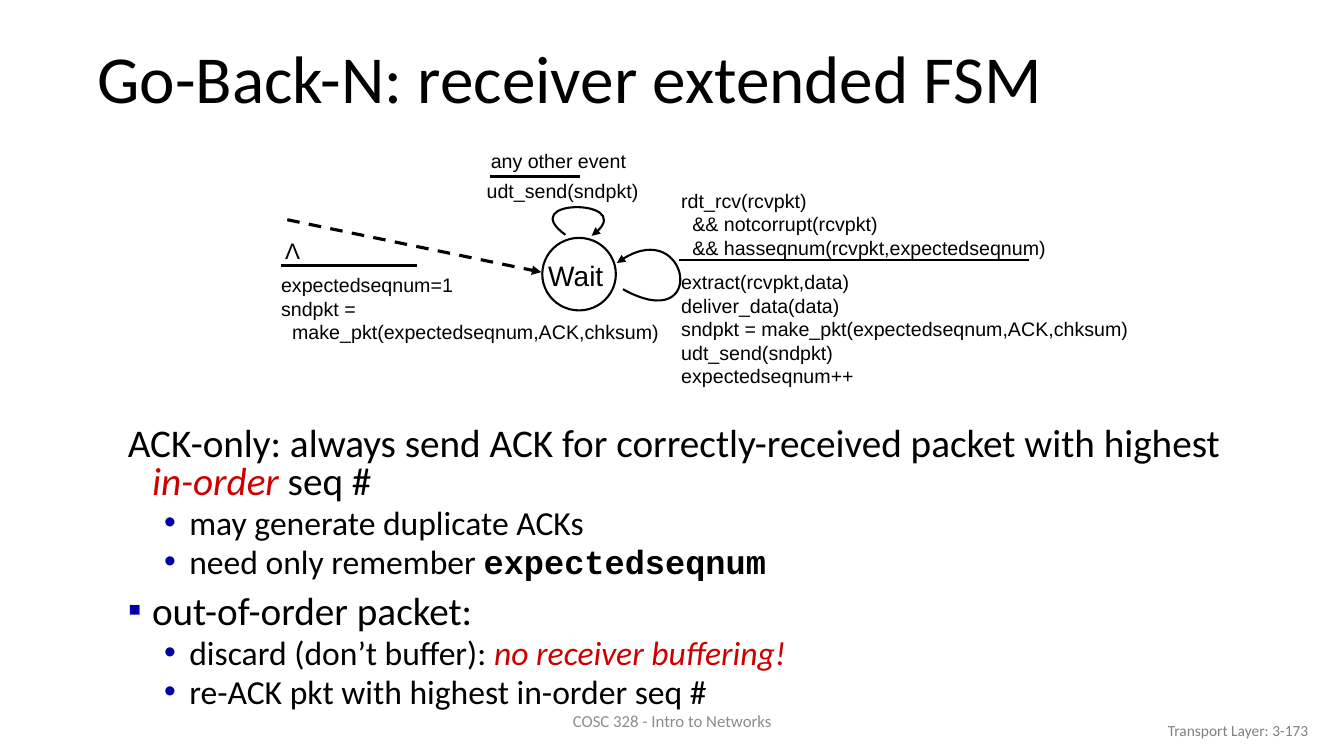
from dataclasses import dataclass

from lxml import etree
from pptx import Presentation
from pptx.dml.color import RGBColor
from pptx.enum.dml import MSO_LINE
from pptx.enum.shapes import MSO_CONNECTOR, MSO_SHAPE
from pptx.enum.text import MSO_ANCHOR, PP_ALIGN
from pptx.oxml.ns import qn
from pptx.util import Inches, Pt

STRAIGHT = MSO_CONNECTOR.STRAIGHT
CIRCLE = MSO_SHAPE.OVAL
DASH = MSO_LINE.DASH
TOP, MIDDLE = MSO_ANCHOR.TOP, MSO_ANCHOR.MIDDLE
LEFT, CENTER, RIGHT = PP_ALIGN.LEFT, PP_ALIGN.CENTER, PP_ALIGN.RIGHT

COLUMN = ROW = Inches(0.1)
COLUMNS, ROWS = 133.33, 75


@dataclass(frozen=True)
class Theme:
    body_font: str = "Calibri"
    diagram_font: str = "Arial"
    code_font: str = "Courier New"
    ink: str = "000000"
    paper: str = "FFFFFF"
    accent: str = "CC0000"
    bullet: str = "0000A8"
    number_grey: str = "808080"
    footer_grey: str = "8C8C8C"
    title_size: int = 48
    point_size: int = 28
    detail_size: int = 24
    state_size: int = 20
    lambda_size: int = 16
    label_size: int = 14
    footer_size: int = 12
    number_size: int = 11
    thin: float = 1.5
    thick: float = 2.25


THEME = Theme()


def color(value):
    return RGBColor.from_string(value)


def grid(*cells):
    return [round(cell * COLUMN) for cell in cells]


def style_font(font, name, size, value=THEME.ink):
    font.name, font.size = name, Pt(size)
    font.color.rgb = color(value)


def add_frame(shapes, place, anchor=TOP, wrap=True):
    frame = shapes.add_textbox(*grid(*place)).text_frame
    frame.word_wrap = wrap
    frame.vertical_anchor = anchor
    return frame


def add_line_of_text(shapes, place, text, font, size, value=THEME.ink,
                     align=LEFT, anchor=TOP, wrap=True):
    frame = add_frame(shapes, place, anchor, wrap)
    para = frame.paragraphs[0]
    para.text, para.alignment = text, align
    style_font(para.font, font, size, value)
    return para


def add_label(shapes, place, *lines):
    frame = add_frame(shapes, place)
    for index, (text, indented) in enumerate(lines):
        para = frame.paragraphs[0] if index == 0 else frame.add_paragraph()
        para.text = text
        if indented:
            para._p.get_or_add_pPr().set("marL", str(Inches(0.11)))
        style_font(para.font, THEME.diagram_font, THEME.label_size)


def style_line(shape, width, arrow=False, dashed=False):
    shape.line.color.rgb = color(THEME.ink)
    shape.line.width = Pt(width)
    if dashed:
        shape.line.dash_style = DASH
    if arrow:
        outline = shape.line._get_or_add_ln()
        etree.SubElement(outline, qn("a:tailEnd"), type="triangle")


def add_rule(shapes, start, end, width, **style):
    rule = shapes.add_connector(STRAIGHT, *grid(*start, *end))
    style_line(rule, width, **style)
    etree.SubElement(rule._element.spPr, qn("a:effectLst"))


def add_loop(shapes, start, *controls):
    builder = shapes.build_freeform(*grid(*start))
    builder.add_line_segments([grid(*point) for point in controls], close=False)
    loop = builder.convert_to_shape()
    outline = loop._element.xpath(".//a:path")[0]
    curve = etree.SubElement(outline, qn("a:cubicBezTo"))
    for segment in outline.findall(qn("a:lnTo")):
        curve.append(segment[0])
        outline.remove(segment)
    loop.fill.background()
    loop.shadow.inherit = False
    style_line(loop, THEME.thin, arrow=True)


def add_state(shapes, place):
    state = shapes.add_shape(CIRCLE, *grid(*place))
    state.shadow.inherit = False
    state.fill.solid()
    state.fill.fore_color.rgb = color(THEME.paper)
    style_line(state, THEME.thin)


def add_bullet(properties, mark):
    tint = etree.SubElement(properties, qn("a:buClr"))
    etree.SubElement(tint, qn("a:srgbClr"), val=THEME.bullet)
    etree.SubElement(properties, qn("a:buFont"), typeface=THEME.diagram_font)
    etree.SubElement(properties, qn("a:buChar"), char=mark)


def add_point(para, level, mark, spans, first):
    para.level = level
    properties = para._p.get_or_add_pPr()
    margin, hanging = ((0.39, -0.24), (0.76, -0.25))[level]
    properties.set("marL", str(Inches(margin)))
    properties.set("indent", str(Inches(hanging)))
    if mark:
        add_bullet(properties, mark)
    para.line_spacing = 0.8
    para.space_before = Pt(0 if first else (10, 5)[level])
    style_font(para.font, THEME.body_font,
               (THEME.point_size, THEME.detail_size)[level])
    for text, kind in spans:
        span = para.add_run()
        span.text = text
        if kind == "accent":
            span.font.italic = True
            span.font.color.rgb = color(THEME.accent)
        elif kind == "code":
            span.font.bold = True
            span.font.name = THEME.code_font


def add_points(shapes, place, points):
    frame = add_frame(shapes, place)
    for index, (level, mark, spans) in enumerate(points):
        para = frame.paragraphs[0] if index == 0 else frame.add_paragraph()
        add_point(para, level, mark, spans, index == 0)


def add_start(shapes):
    add_rule(shapes, (28.5, 21.8), (53.7, 27), THEME.thick, arrow=True, dashed=True)
    add_rule(shapes, (27.9, 26.3), (41.4, 26.3), THEME.thick)
    add_label(shapes, (26.9, 26.6, 39.8, 10.7), ("expectedseqnum=1", False),
              ("sndpkt =", False), ("make_pkt(expectedseqnum,ACK,chksum)", True))
    add_line_of_text(shapes, (27.3, 23, 3.5, 3.7), "Λ", THEME.diagram_font,
                     THEME.lambda_size, wrap=False)


def add_in_order_event(shapes):
    add_loop(shapes, (61.8, 28.7), (70.3, 33.4), (68.3, 20.8), (61.2, 26.1))
    add_label(shapes, (66.6, 18.2, 39, 6.2), ("rdt_rcv(rcvpkt)", False),
              ("&& notcorrupt(rcvpkt)", True),
              ("&& hasseqnum(rcvpkt,expectedseqnum)", True))
    add_rule(shapes, (67.4, 25.8), (102.1, 25.8), THEME.thin)
    add_label(shapes, (66.6, 26.3, 47.2, 9.4), ("extract(rcvpkt,data)", False),
              ("deliver_data(data)", False),
              ("sndpkt = make_pkt(expectedseqnum,ACK,chksum)", False),
              ("udt_send(sndpkt)", False), ("expectedseqnum++", False))


def add_other_event(shapes):
    add_label(shapes, (47.3, 17.3, 17.7, 3.4), ("udt_send(sndpkt)", False))
    add_label(shapes, (47.7, 14.3, 18.2, 2.7), ("any other event", False))
    add_rule(shapes, (48.6, 17.5), (57.5, 17.5), THEME.thick)
    add_loop(shapes, (56.1, 23.3), (51.1, 19.7), (63.8, 19.7), (58.7, 23.4))


def main():
    deck = Presentation()
    deck.slide_width, deck.slide_height = round(COLUMNS * COLUMN), ROWS * ROW
    page = deck.slides.add_slide(deck.slide_layouts[6])
    shapes = page.shapes
    title = add_line_of_text(shapes, (8.7, 3.2, 121.4, 9.8),
                             "Go-Back-N: receiver extended FSM", THEME.body_font,
                             THEME.title_size, anchor=MIDDLE)
    title.line_spacing = 0.9
    add_line_of_text(shapes, (100.8, 70.5, 30, 4), "Transport Layer: 3-173",
                     THEME.body_font, THEME.number_size, THEME.number_grey, RIGHT, MIDDLE)
    add_state(shapes, (53.8, 23.6, 7.3, 7.2))
    add_line_of_text(shapes, (53.4, 25.2, 8.8, 3.7), "Wait", THEME.diagram_font,
                     THEME.state_size)
    add_start(shapes)
    add_in_order_event(shapes)
    add_other_event(shapes.add_group_shape().shapes)
    add_points(shapes, (10.2, 41.9, 112.8, 31.2), [
        (0, "", [("ACK-only: always send ACK for correctly-received packet with highest ", ""),
                 ("in-order", "accent"), (" seq #", "")]),
        (1, "•", [("may generate duplicate ACKs", "")]),
        (1, "•", [("need only remember ", ""), ("expectedseqnum", "code")]),
        (0, "▪", [("out-of-order packet:", "")]),
        (1, "•", [("discard (don’t buffer): ", ""), ("no receiver buffering!", "accent")]),
        (1, "•", [("re-ACK pkt with highest in-order seq #", "")]),
    ])
    add_line_of_text(shapes, (44.2, 69.5, 45, 4), "COSC 328 - Intro to Networks",
                     THEME.body_font, THEME.footer_size, THEME.footer_grey, CENTER, MIDDLE)
    deck.save("out.pptx")


if __name__ == "__main__":
    main()
